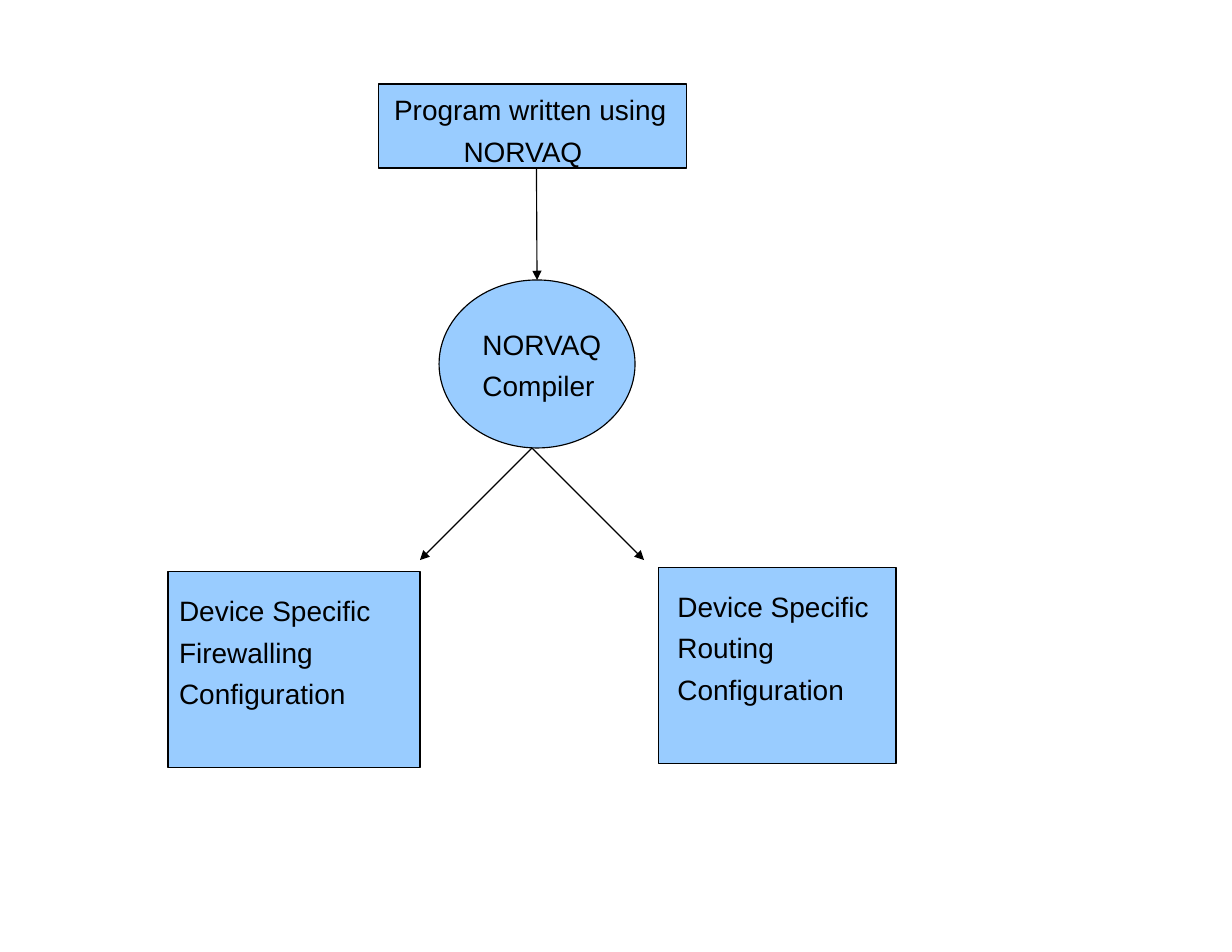
from lxml import etree
from pptx import Presentation
from pptx.dml.color import RGBColor
from pptx.enum.shapes import MSO_CONNECTOR, MSO_SHAPE
from pptx.oxml.ns import qn
from pptx.util import Inches, Pt

RECTANGLE = MSO_SHAPE.RECTANGLE
OVAL = MSO_SHAPE.OVAL
STRAIGHT = MSO_CONNECTOR.STRAIGHT

THEME = {
    "fill": RGBColor(0x99, 0xCC, 0xFF),
    "ink": RGBColor(0, 0, 0),
    "font": "Arial",
    "size": Pt(18),
    "line": Pt(0.75),
    "spacing": 1.24,
}

STAGES = {
    "program": {
        "outline": RECTANGLE, "at": (3.38, 0.75, 2.75, 0.75),
        "label_at": (3.42, 0.71, 2.75, 0.84),
        "lines": ["Program written using", "NORVAQ"], "indents": (0, 0.62),
    },
    "compiler": {
        "outline": OVAL, "at": (3.92, 2.5, 1.75, 1.5),
        "label_at": (4.21, 2.8, 1.5, 0.84),
        "lines": ["NORVAQ", "Compiler"],
    },
    "firewalling": {
        "outline": RECTANGLE, "at": (1.5, 5.1, 2.25, 1.75),
        "label_at": (1.5, 5.18, 2.25, 1.59),
        "lines": ["Device Specific", "Firewalling", "Configuration"],
    },
    "routing": {
        "outline": RECTANGLE, "at": (5.88, 5.07, 2.12, 1.75),
        "label_at": (5.95, 5.14, 2.05, 1.59),
        "lines": ["Device Specific", "Routing", "Configuration"],
    },
}

COMPILE_FLOW = ((4.79, 1.5), (4.79, 2.5))
FORK = (4.75, 4)
FORK_REACH = 1


def add_stage(slide, outline, at):
    stage = slide.shapes.add_shape(outline, *map(Inches, at))
    stage.shadow.inherit = False
    stage.fill.solid()
    stage.fill.fore_color.rgb = THEME["fill"]
    stage.line.color.rgb = THEME["ink"]
    stage.line.width = THEME["line"]
    return stage


def add_label(slide, lines, at, indents=(), size=THEME["size"], color=THEME["ink"]):
    frame = slide.shapes.add_textbox(*map(Inches, at)).text_frame
    frame.word_wrap = True
    frame.text = "\n".join(lines)
    for paragraph in frame.paragraphs:
        paragraph.line_spacing = THEME["spacing"]
        font = paragraph.runs[0].font
        font.name = THEME["font"]
        font.size = size
        font.color.rgb = color
    for paragraph, indent in zip(frame.paragraphs, indents):
        paragraph._p.get_or_add_pPr().set("marL", str(Inches(indent)))


def add_arrow(slide, start, end):
    arrow = slide.shapes.add_connector(STRAIGHT, *map(Inches, start + end))
    arrow.line.color.rgb = THEME["ink"]
    arrow.line.width = THEME["line"]
    etree.SubElement(arrow.line._get_or_add_ln(), qn("a:tailEnd"), type="triangle")
    etree.SubElement(arrow._element.spPr, qn("a:effectLst"))
    return arrow


def main():
    deck = Presentation()
    deck.slide_width, deck.slide_height = Inches(11), Inches(8.5)
    slide = deck.slides.add_slide(deck.slide_layouts[6])

    stages = {}
    for name, stage in STAGES.items():
        stages[name] = add_stage(slide, stage["outline"], stage["at"])
        add_label(slide, stage["lines"], stage["label_at"], stage.get("indents", ()))

    add_arrow(slide, *COMPILE_FLOW).end_connect(stages["compiler"], 0)
    for side in (-1, 1):
        target = (FORK[0] + side * FORK_REACH, FORK[1] + FORK_REACH)
        add_arrow(slide, FORK, target)

    deck.save("out.pptx")


if __name__ == "__main__":
    main()
